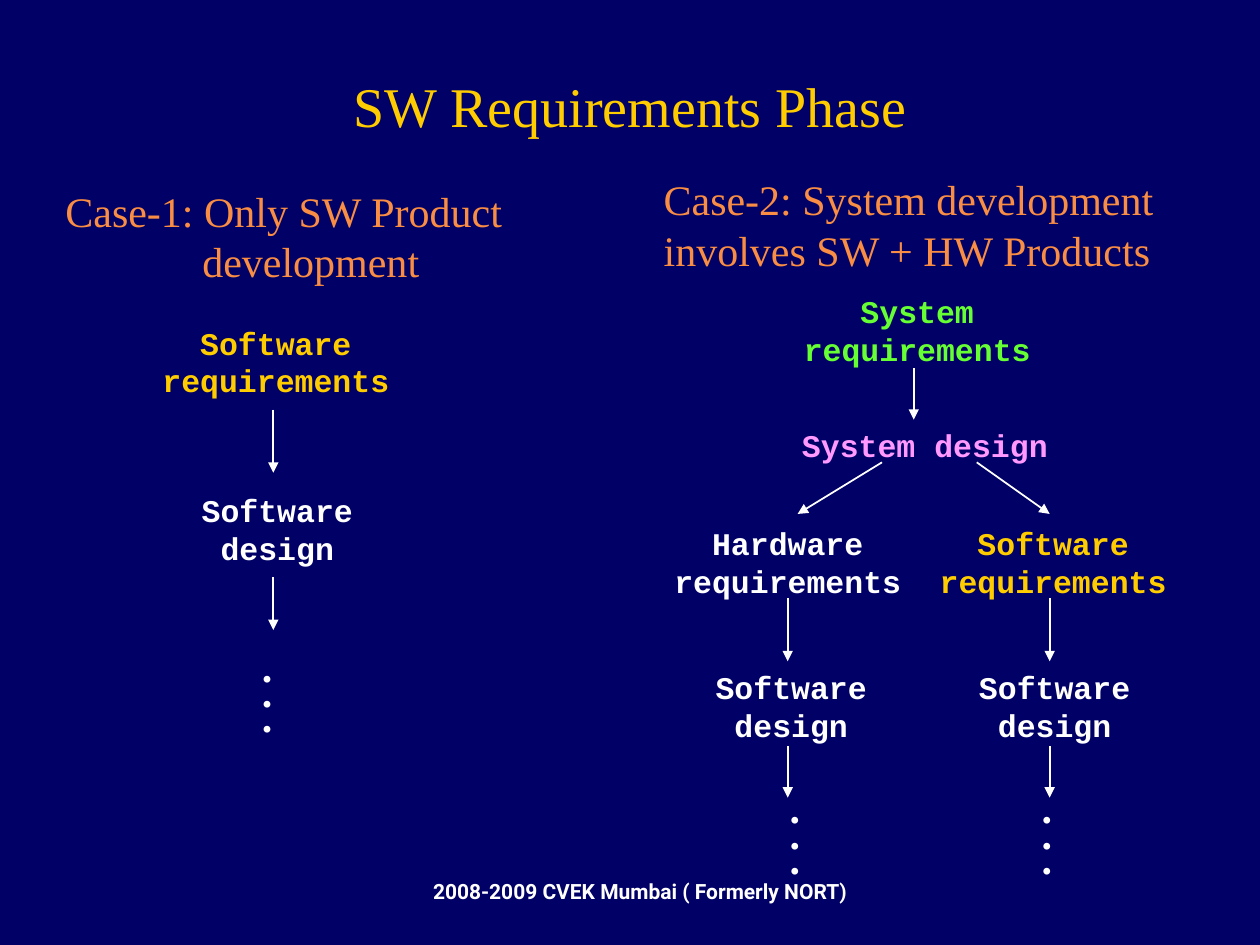
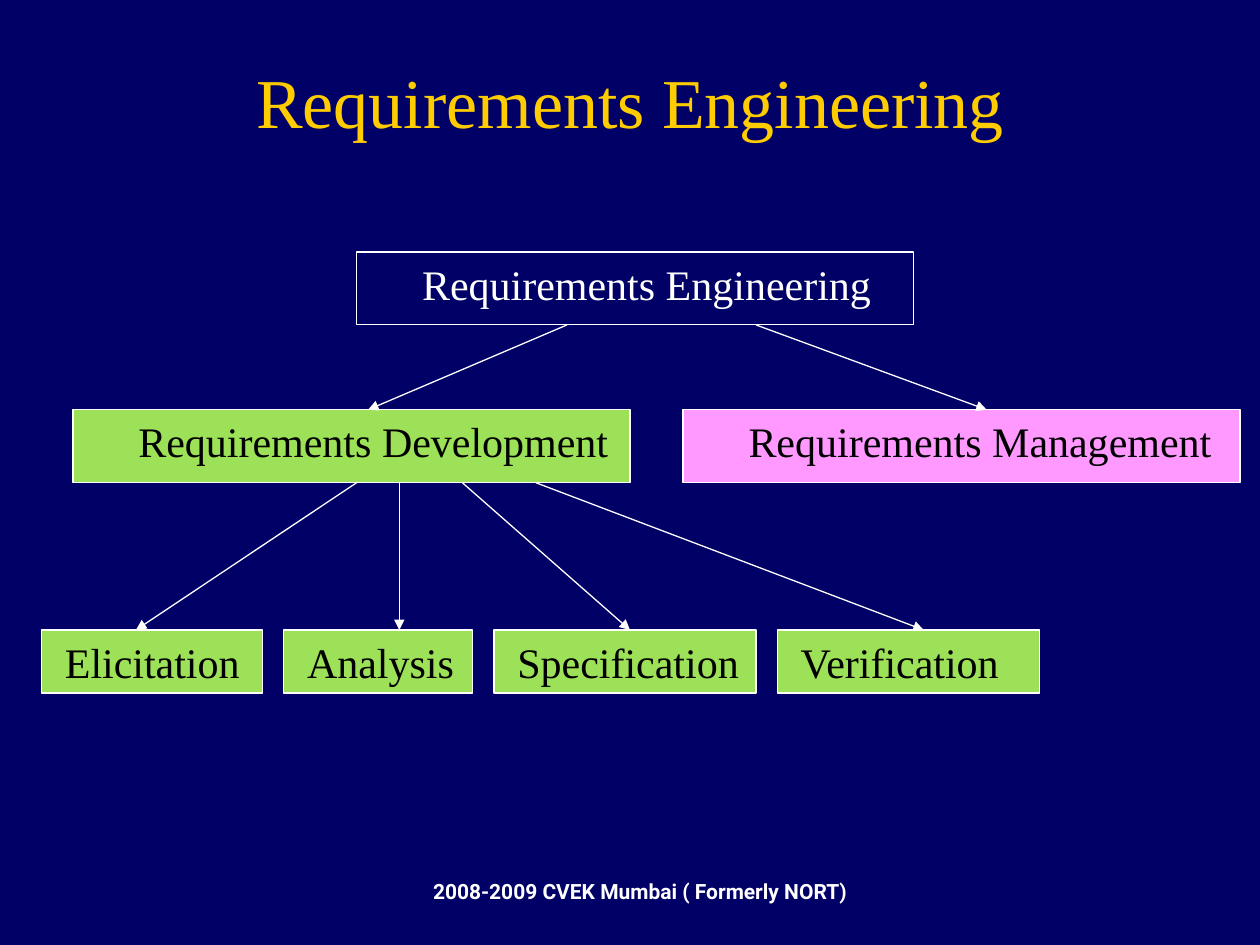
from dataclasses import dataclass
from lxml.etree import SubElement
from pptx import Presentation
from pptx.dml.color import RGBColor
from pptx.enum.shapes import MSO_CONNECTOR, MSO_SHAPE
from pptx.enum.text import MSO_ANCHOR, PP_ALIGN
from pptx.oxml.ns import qn
from pptx.util import Cm, Pt


@dataclass(frozen=True)
class Theme:
    navy: str = "000066"
    white: str = "FFFFFF"
    black: str = "000000"
    gold: str = "FFCC00"
    coral: str = "F98D43"
    lime: str = "66FF33"
    pink: str = "FF99FF"
    green: str = "9CE157"
    serif: str = "Times New Roman"
    mono: str = "Courier New"
    sans: str = "Roboto"
    foot: int = 12
    node: int = 18
    body: int = 24
    head: int = 32
    large: int = 40


def apply(target, values):
    for name, value in values.items():
        setattr(target, name, value)


class Deck:
    def __init__(self, theme):
        self.theme = theme
        self.file = Presentation()
        apply(self.file, {"slide_width": Cm(25.4), "slide_height": Cm(19.05)})
        self.slide = None

    def page(self, title, size, top, height):
        t = self.theme
        self.slide = self.file.slides.add_slide(self.file.slide_layouts[6])
        fill = self.slide.background.fill
        fill.solid()
        fill.fore_color.rgb = RGBColor.from_string(t.navy)
        self.text("2008-2009 CVEK Mumbai ( Formerly NORT)", 8.48, 17.58, 9.32, 0.76,
                  t.white, t.foot, t.sans, bold=True)
        self.text(title, 1.91, top, 21.59, height, t.gold, size, center=True,
                  wrap=True, anchor=MSO_ANCHOR.MIDDLE)

    def letter(self, frame, text, color, size, font, bold=False, center=False, space=1.0):
        frame.text = text
        for para in frame.paragraphs:
            apply(para, {"alignment": PP_ALIGN.CENTER if center else PP_ALIGN.LEFT,
                         "line_spacing": space})
            apply(para.font, {"name": font, "size": Pt(size), "bold": bold})
            para.font.color.rgb = RGBColor.from_string(color)

    def text(self, text, x, y, w, h, color, size, font=None, wrap=False,
             anchor=MSO_ANCHOR.TOP, **style):
        frame = self.slide.shapes.add_textbox(Cm(x), Cm(y), Cm(w), Cm(h)).text_frame
        apply(frame, {"word_wrap": wrap, "vertical_anchor": anchor})
        self.letter(frame, text, color, size, font or self.theme.serif, **style)
        return frame

    def node(self, text, x, y, w, color, h=1.78):
        self.text(text, x, y, w, h, color, self.theme.node, self.theme.mono,
                  bold=True, center=True)

    def dots(self, x, y):
        self.text(".\n.\n.", x, y, 0.71, 1.78, self.theme.white, self.theme.body,
                  bold=True, space=0.5)

    def box(self, text, x, y, w, h, inset, fill=None, color=None):
        t = self.theme
        shape = self.slide.shapes.add_shape(MSO_SHAPE.RECTANGLE, Cm(x), Cm(y), Cm(w), Cm(h))
        shape.shadow.inherit = False
        if fill:
            shape.fill.solid()
            shape.fill.fore_color.rgb = RGBColor.from_string(fill)
        else:
            shape.fill.background()
        shape.line.color.rgb = RGBColor.from_string(t.white)
        shape.line.width = Pt(0.75)
        apply(shape.text_frame, {"word_wrap": True, "vertical_anchor": MSO_ANCHOR.TOP,
                                 "margin_left": Cm(inset), "margin_right": 0})
        self.letter(shape.text_frame, text, color or t.black, t.body, t.serif)

    def arrow(self, x1, y1, x2, y2, width=1.0):
        link = self.slide.shapes.add_connector(
            MSO_CONNECTOR.STRAIGHT, Cm(x1), Cm(y1), Cm(x2), Cm(y2))
        link.line.color.rgb = RGBColor.from_string(self.theme.white)
        link.line.width = Pt(width)
        props = link.element.spPr
        SubElement(props.find(qn("a:ln")), qn("a:tailEnd"), type="triangle")
        SubElement(props, qn("a:effectLst"))

    def chain(self, name, color, xs, ys):
        need, plan, stem, dot = xs
        top, start, mid, leave, end, last = ys
        self.node(f"{name}\nrequirements", need, top, 5.08, color)
        self.arrow(stem, start, stem, start + 1.27)
        self.node("Software\ndesign", plan, mid, 3.56, self.theme.white)
        self.arrow(stem, leave, stem, end)
        self.dots(dot, last)


def phase(deck):
    t = deck.theme
    deck.page("SW Requirements Phase", t.head, 1.3, 1.63)
    case = deck.text("Case-1: Only SW Product\ndevelopment", 1.07, 3.61, 9.32, 2.29,
                     t.coral, t.body)
    case.paragraphs[1]._p.get_or_add_pPr().set("marL", str(Cm(2.76)))
    deck.text("Case-2: System development\ninvolves SW + HW Products", 13.13, 3.38, 11, 3.3,
              t.coral, t.body, wrap=True)
    left = (6.4, 8.26, 9.78, 11.63, 12.7, 13.23)
    right = (10.44, 12.06, 13.34, 15.04, 16.08, 16.08)
    for name, color, xs, ys in (
        ("Software", t.gold, (3.02, 3.81, 5.51, 5.03), left),
        ("Hardware", t.white, (13.34, 14.17, 15.88, 15.67), right),
        ("Software", t.gold, (18.69, 19.48, 21.16, 20.75), right),
    ):
        deck.chain(name, color, xs, ys)
    deck.node("System\nrequirements", 15.95, 5.77, 5.08, t.lime)
    deck.node("System design", 15.47, 8.46, 6.35, t.pink, 1.02)
    deck.arrow(18.42, 7.42, 18.42, 8.46)
    for start, end in ((17.78, 16.08), (19.69, 21.16)):
        deck.arrow(start, 9.32, end, 10.36)


def tree(deck):
    t = deck.theme
    deck.page("Requirements Engineering", t.large, 1.04, 1.96)
    for word, x, y, fill, color in (
        ("Engineering", 7.19, 5.08, None, t.white),
        ("Development", 1.47, 8.26, t.green, t.black),
        ("Management", 13.77, 8.26, t.pink, t.black),
    ):
        deck.box(f"Requirements {word}", x, y, 11.23, 1.47, 1.32, fill, color)
    x, gap = 0.84, 0.43
    for word, width in (("Elicitation", 4.45), ("Analysis", 3.81),
                        ("Specification", 5.28), ("Verification", 5.28)):
        deck.box(word, x, 12.7, width, 1.27, 0.47, t.green)
        x += width + gap
    for start, end in ((11.43, 7.42), (15.24, 19.89)):
        deck.arrow(start, 6.55, end, 8.26, 0.75)
    for start, end in ((7.19, 2.74), (8.05, 8.05), (9.32, 12.7), (10.8, 18.62)):
        deck.arrow(start, 9.73, end, 12.7, 0.75)


def main():
    deck = Deck(Theme())
    phase(deck)
    tree(deck)
    deck.file.save("out.pptx")


if __name__ == "__main__":
    main()
